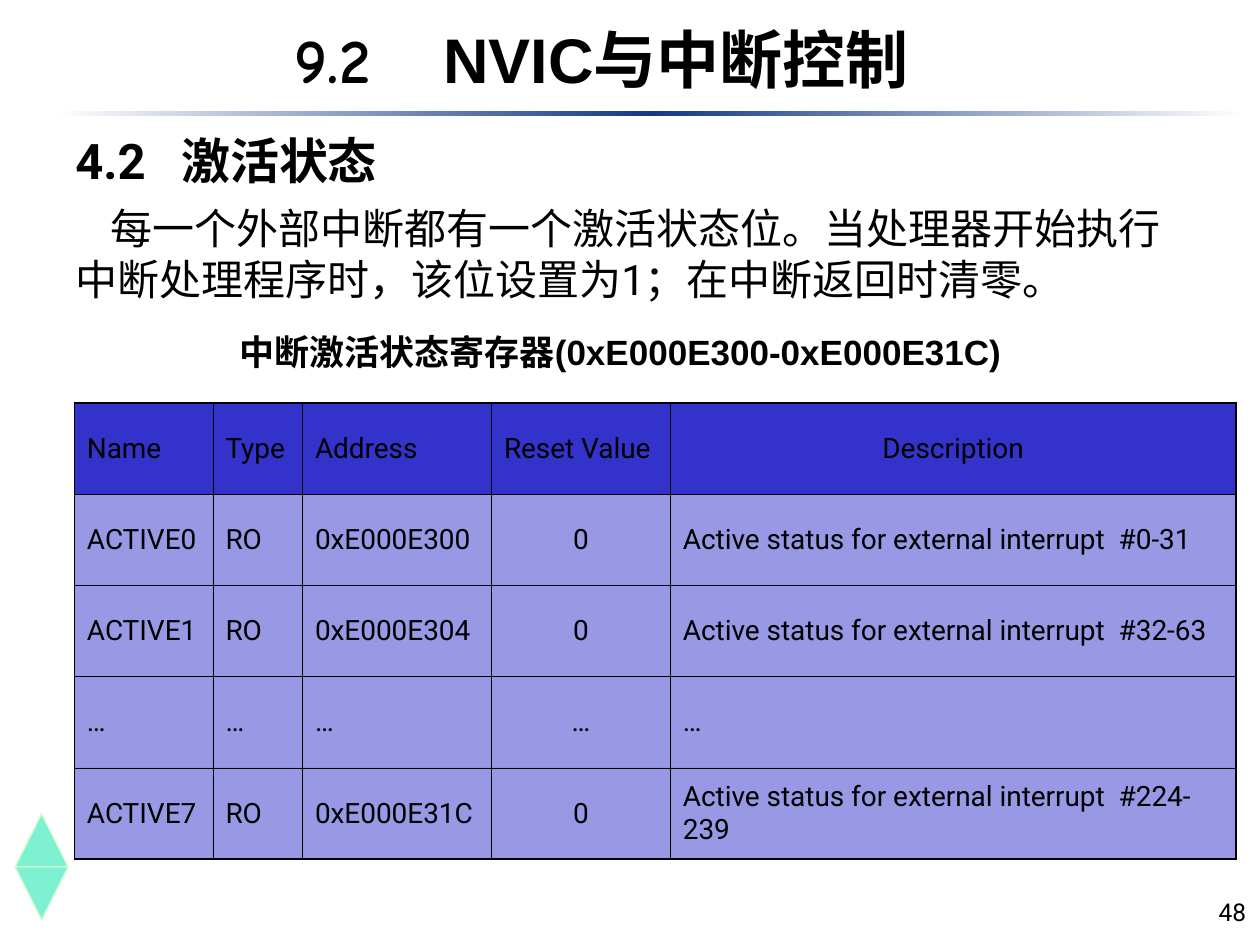
from lxml.etree import SubElement
from pptx import Presentation
from pptx.dml.color import RGBColor
from pptx.enum.shapes import MSO_SHAPE
from pptx.enum.text import MSO_ANCHOR, PP_ALIGN
from pptx.oxml.ns import qn
from pptx.util import Inches, Pt

HUES = {"ink": "000000", "paper": "FFFFFF", "rule": "133984",
        "gem": "00E4A8", "edge": "CCFFCC", "grid": "3333CC"}
ROWS = [
    ["Name", "Type", "Address", "Reset Value", "Description"],
    ["ACTIVE0", "RO", "0xE000E300", "0", "Active status for external interrupt  #0-31"],
    ["ACTIVE1", "RO", "0xE000E304", "0", "Active status for external interrupt  #32-63"],
    ["…", "…", "…", "…", "…"],
    ["ACTIVE7", "RO", "0xE000E31C", "0", "Active status for external interrupt  #224-239"],
]
WIDTHS = [1.1, 0.71, 1.5, 1.42, 4.49]


def hue(name):
    return RGBColor.from_string(HUES[name])


def style(run, size, face, bold=False):
    run.font.size = Pt(size)
    run.font.name = face
    run.font.bold = bold
    run.font.color.rgb = hue("ink")


def add_tab(para, inches):
    stops = SubElement(para._p.get_or_add_pPr(), qn("a:tabLst"))
    SubElement(stops, qn("a:tab"), pos=str(Inches(inches)), algn="l")


def fade(owner):
    color = next(owner.iter(qn("a:srgbClr")))
    SubElement(color, qn("a:alpha"), val="50000")


def add_box(slide, left, top, width, height, anchor=MSO_ANCHOR.TOP):
    box = slide.shapes.add_textbox(Inches(left), Inches(top), Inches(width), Inches(height))
    frame = box.text_frame
    frame.word_wrap = True
    frame.vertical_anchor = anchor
    return frame


def add_rule(slide, left, top, width, height):
    half = width / 2
    for side, names in enumerate([("paper", "rule"), ("rule", "paper")]):
        bar = slide.shapes.add_shape(MSO_SHAPE.RECTANGLE, Inches(left + side * half),
                                     Inches(top), Inches(half), Inches(height))
        bar.shadow.inherit = False
        bar.line.fill.background()
        bar.fill.gradient()
        bar.fill.gradient_angle = 0
        for stop, name in zip(bar.fill.gradient_stops, names):
            stop.color.rgb = hue(name)


def add_gem(slide, left, top, width, height):
    half = height / 2
    for step in range(2):
        part = slide.shapes.add_shape(MSO_SHAPE.ISOSCELES_TRIANGLE, Inches(left),
                                      Inches(top + step * half), Inches(width), Inches(half))
        part.rotation = 180 * step
        part.shadow.inherit = False
        part.fill.solid()
        part.fill.fore_color.rgb = hue("gem")
        fade(part._element.spPr)
        part.line.color.rgb = hue("edge")
        part.line.width = Pt(0.75)


def set_title(slide, left, top, width, height):
    title = slide.shapes.title
    title.left, title.top = Inches(left), Inches(top)
    title.width, title.height = Inches(width), Inches(height)
    frame = title.text_frame
    frame.margin_top = frame.margin_bottom = 0
    frame.vertical_anchor = MSO_ANCHOR.MIDDLE
    para = frame.paragraphs[0]
    para.alignment = PP_ALIGN.LEFT
    add_tab(para, 1)
    for text, face in [("9.2\t ", "Comic Neue"), ("NVIC与中断控制", "Arial")]:
        run = para.add_run()
        run.text = text
        style(run, 36, face, True)


def add_body(slide, left, top, width, height):
    frame = add_box(slide, left, top, width, height, MSO_ANCHOR.MIDDLE)
    head = frame.paragraphs[0]
    head.text = "4.2\t激活状态"
    head.space_before = Pt(17.5)
    add_tab(head, 0.84)
    style(head.runs[0], 28, "Roboto", True)
    para = frame.add_paragraph()
    para.text = "每一个外部中断都有一个激活状态位。当处理器开始执行中断处理程序时，该位设置为1；在中断返回时清零。"
    para.space_before = para.space_after = Pt(7.5)
    para._p.get_or_add_pPr().set("indent", str(Inches(0.28)))
    style(para.runs[0], 24, "Roboto")


def add_line(slide, text, size, face, bold, align, anchor, box):
    frame = add_box(slide, *box, anchor)
    frame.text = text
    frame.paragraphs[0].alignment = align
    style(frame.paragraphs[0].runs[0], size, face, bold)


def set_edges(cell, outer):
    props = cell._tc.get_or_add_tcPr()
    for side in "LRTB":
        width = Pt(1.08 if outer[side] else 0.45)
        edge = SubElement(props, qn("a:ln" + side), w=str(width))
        fill = SubElement(edge, qn("a:solidFill"))
        SubElement(fill, qn("a:srgbClr"), val=HUES["ink"])


def add_grid(slide, left, top, width, height):
    count, last = len(ROWS), len(WIDTHS) - 1
    table = slide.shapes.add_table(count, len(WIDTHS), Inches(left), Inches(top),
                                   Inches(width), Inches(height)).table
    table.first_row = table.horz_banding = False
    for col, size in zip(table.columns, WIDTHS):
        col.width = Inches(size)
    for i, row in enumerate(ROWS):
        table.rows[i].height = Inches(height / count)
        for j, text in enumerate(row):
            cell = table.cell(i, j)
            cell.text = text
            cell.vertical_anchor = MSO_ANCHOR.MIDDLE
            para = cell.text_frame.paragraphs[0]
            para.space_before = Pt(4)
            centred = j == last if i == 0 else j == 3
            para.alignment = PP_ALIGN.CENTER if centred else PP_ALIGN.LEFT
            style(para.runs[0], 16, "Roboto")
            set_edges(cell, {"L": j == 0, "R": j == last, "T": i == 0, "B": i == count - 1})
            cell.fill.solid()
            cell.fill.fore_color.rgb = hue("grid")
            if i:
                fade(cell._tc.tcPr.find(qn("a:solidFill")))


def main():
    deck = Presentation()
    deck.slide_width, deck.slide_height = Inches(10), Inches(7.5)
    slide = deck.slides.add_slide(deck.slide_layouts[5])
    add_rule(slide, 0.44, 0.88, 9.44, 0.04)
    add_gem(slide, 0.12, 6.46, 0.42, 0.84)
    set_title(slide, 2.24, 0.16, 5.51, 0.6)
    add_body(slide, 0.5, 0.99, 9, 1.47)
    add_line(slide, "中断激活状态寄存器(0xE000E300-0xE000E31C)", 20, "Arial", True,
             PP_ALIGN.LEFT, MSO_ANCHOR.TOP, (1.8, 2.57, 6.35, 0.44))
    add_grid(slide, 0.59, 3.2, 9.22, 3.62)
    add_line(slide, "48", 14, "Roboto", False,
             PP_ALIGN.RIGHT, MSO_ANCHOR.BOTTOM, (7.91, 6.9, 2.08, 0.5))
    deck.save("out.pptx")


if __name__ == "__main__":
    main()
